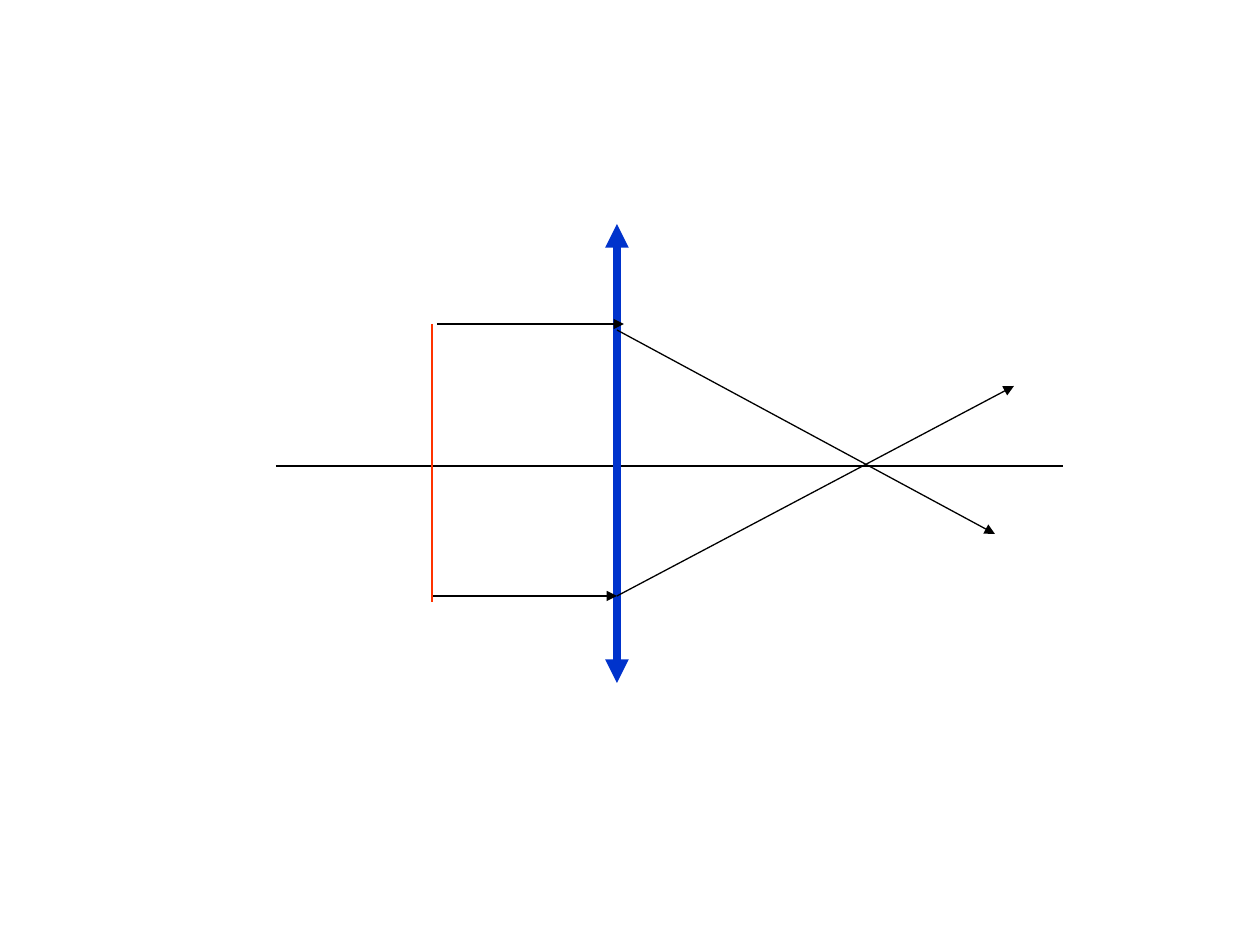
from lxml.etree import SubElement
from pptx import Presentation
from pptx.dml.color import RGBColor
from pptx.enum.shapes import MSO_CONNECTOR as Link
from pptx.oxml.ns import qn
from pptx.util import Pt

SCALE = 914400 // 126  # EMU in one px
WIDE, HIGH = 1260, 945
BLACK, BLUE, RED = "000000", "0033CC", "FF3300"


def paint(code):
    return RGBColor.from_string(code)


class Sketch:
    """Holds the line style and the current slide."""

    thin = 0.75

    def __init__(self, slide):
        self.slide = slide

    def line(self, start, end, color=BLACK, width=thin, tips=()):
        """Draw a straight line; tips names the ends with arrowheads."""
        ends = [v * SCALE for v in (*start, *end)]
        link = self.slide.shapes.add_connector(Link.STRAIGHT, *ends)
        link.line.color.rgb = paint(color)
        link.line.width = Pt(width)
        props = link._element.spPr
        stroke = props.find(qn("a:ln"))
        for tip in tips:
            SubElement(stroke, qn(f"a:{tip}"), type="triangle")
        SubElement(props, qn("a:effectLst"))

    def ray(self, start, end):
        self.line(start, end, tips=["tailEnd"])


def main():
    deck = Presentation()
    deck.slide_width, deck.slide_height = WIDE * SCALE, HIGH * SCALE
    art = Sketch(deck.slides.add_slide(deck.slide_layouts[6]))

    lens, source = 617, 432
    top, base, axis = 324, 596, 466

    art.line((276, axis), (1063, axis))
    art.line((lens, 224), (lens, 683), BLUE, 4.5, ["headEnd", "tailEnd"])
    rays = [
        ((437, top), (624, top)),
        ((source, base), (lens, base)),
        ((lens, base), (1014, 386)),
        ((lens, 330), (995, 534)),
    ]
    for start, end in rays:
        art.ray(start, end)
    art.line((source, top), (source, 602), RED)

    deck.save("out.pptx")


if __name__ == "__main__":
    main()
